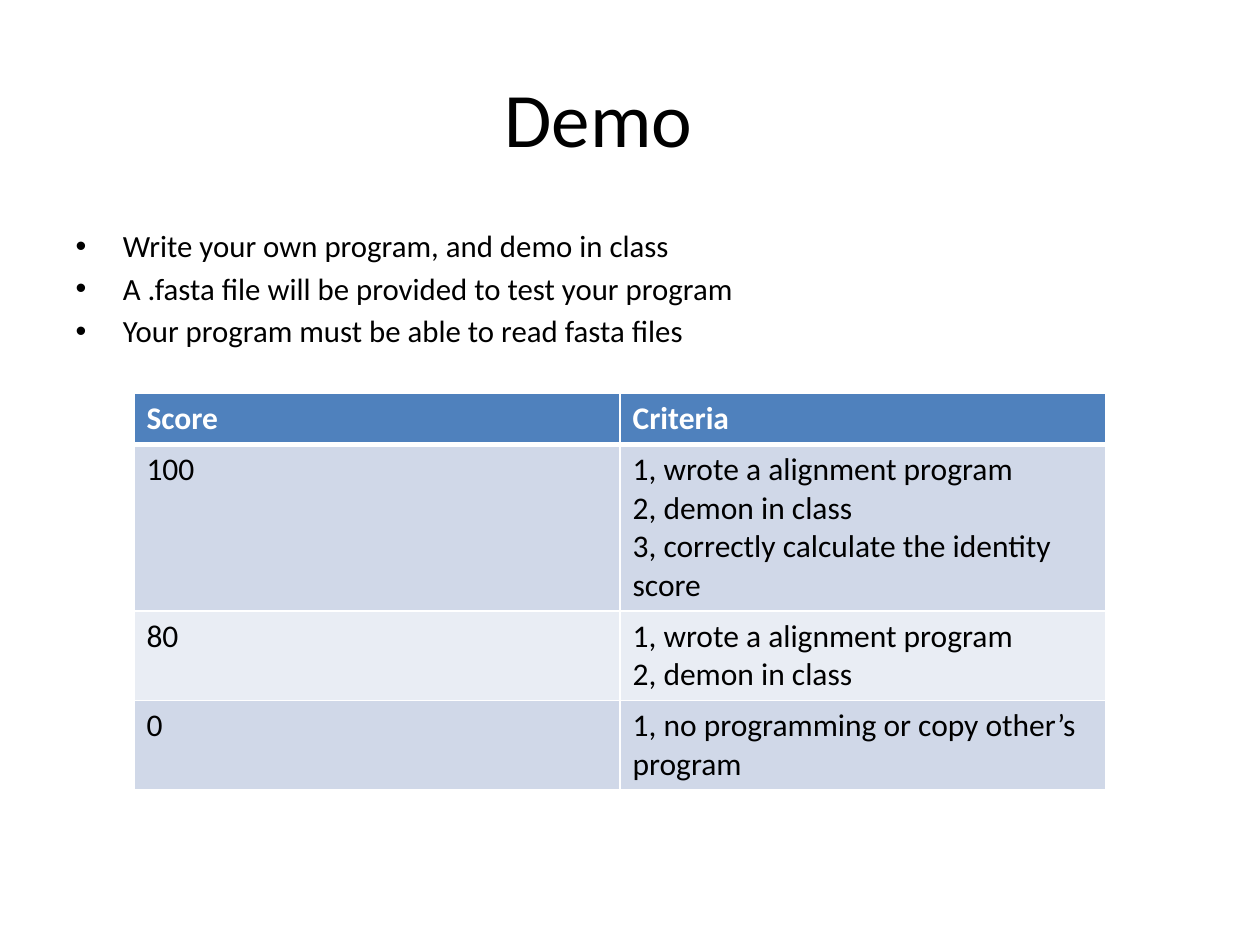
from lxml.etree import SubElement
from pptx import Presentation
from pptx.dml.color import RGBColor
from pptx.enum.text import MSO_ANCHOR, MSO_AUTO_SIZE, PP_ALIGN
from pptx.oxml.ns import qn
from pptx.util import Cm, Pt

BLACK = RGBColor(0x00, 0x00, 0x00)
WHITE = RGBColor(0xFF, 0xFF, 0xFF)
HEADER_BLUE = RGBColor(0x4F, 0x81, 0xBD)
BAND_DARK = RGBColor(0xD0, 0xD8, 0xE8)
BAND_LIGHT = RGBColor(0xE9, 0xED, 0xF4)


def format_font(paragraph, color, **values):
    for name, value in {"name": "Calibri", **values}.items():
        setattr(paragraph.font, name, value)
    paragraph.font.color.rgb = color


def add_borders(cell, widths):
    properties = cell._tc.get_or_add_tcPr()
    for side, width in widths.items():
        border = SubElement(properties, qn(f"a:ln{side}"), w=str(Pt(width)))
        fill = SubElement(border, qn("a:solidFill"))
        SubElement(fill, qn("a:srgbClr"), val=str(WHITE))


presentation = Presentation()
presentation.slide_width = Cm(25.4)
presentation.slide_height = Cm(19.05)
slide = presentation.slides.add_slide(presentation.slide_layouts[1])

heading = slide.shapes.title
heading_place = {"left": Cm(1.27), "top": Cm(0.76), "width": Cm(22.86), "height": Cm(3.18)}
for name, value in heading_place.items():
    setattr(heading, name, value)
heading.text_frame.text = "Demo"
heading.text_frame.vertical_anchor = MSO_ANCHOR.MIDDLE
heading.text_frame.margin_right = Cm(1.52)
heading.text_frame.paragraphs[0].alignment = PP_ALIGN.CENTER
format_font(heading.text_frame.paragraphs[0], BLACK, size=Pt(44))

requirements = slide.placeholders[1]
requirements_place = {"left": Cm(1.27), "top": Cm(4.45), "width": Cm(22.43), "height": Cm(2.49)}
for name, value in requirements_place.items():
    setattr(requirements, name, value)
requirements.text_frame.text = "\n".join([
    "Write your own program, and demo in class",
    "A .fasta file will be provided to test your program",
    "Your program must be able to read fasta files",
])
requirements.text_frame.auto_size = MSO_AUTO_SIZE.NONE
for index, requirement in enumerate(requirements.text_frame.paragraphs):
    requirement.space_before = Pt(3.2 if index else 0)
    format_font(requirement, BLACK, size=Pt(17.6))

grading = [
    ("Score", "Criteria", 1.03),
    ("100", "1, wrote a alignment program\n2, demon in class\n"
            "3, correctly calculate the identity score", 3.27),
    ("80", "1, wrote a alignment program\n2, demon in class", 1.8),
    ("0", "1, no programming or copy other’s program", 1.8),
]
scores = slide.shapes.add_table(
    len(grading), 2, Cm(2.7), Cm(7.93), Cm(19.6), Cm(7.9)).table
for row, (score, criteria, height) in enumerate(grading):
    scores.rows[row].height = Cm(height)
    is_header = row == 0
    band = HEADER_BLUE if is_header else BAND_DARK if row % 2 else BAND_LIGHT
    widths = {"L": 1, "R": 1, "T": 3 if row == 1 else 1, "B": 3 if is_header else 1}
    for column, wording in enumerate((score, criteria)):
        cell = scores.cell(row, column)
        cell.text = wording
        add_borders(cell, widths)
        cell.fill.solid()
        cell.fill.fore_color.rgb = band
        for paragraph in cell.text_frame.paragraphs:
            format_font(paragraph, WHITE if is_header else BLACK, size=Pt(18), bold=is_header)

presentation.save("out.pptx")
